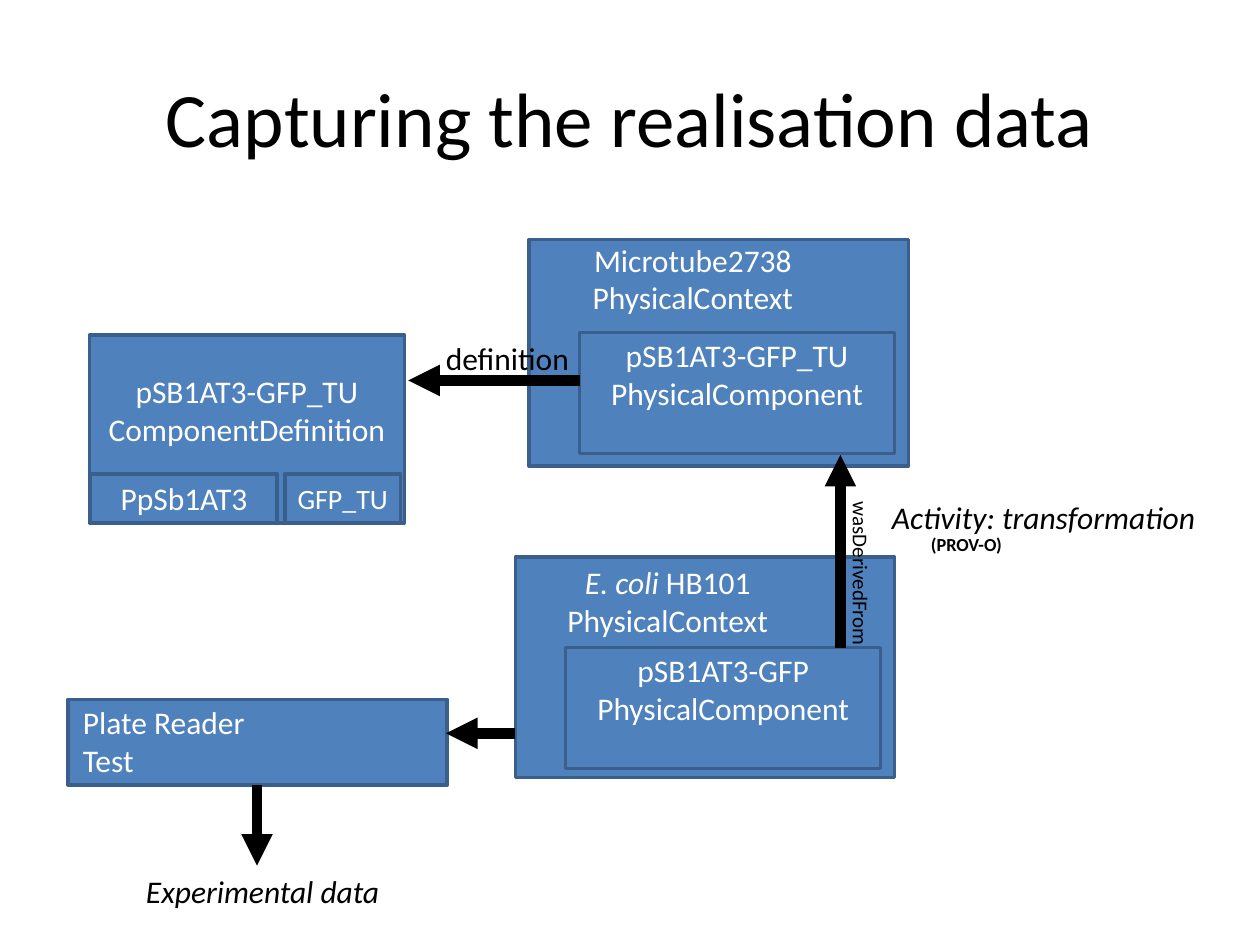
from lxml.etree import SubElement
from pptx import Presentation
from pptx.dml.color import RGBColor
from pptx.enum.shapes import MSO_CONNECTOR, MSO_SHAPE
from pptx.enum.text import MSO_ANCHOR, MSO_AUTO_SIZE, PP_ALIGN
from pptx.oxml.ns import qn
from pptx.util import Inches, Pt

THEME = {
    "font": "Calibri",
    "box": RGBColor.from_string("4F81BD"),
    "edge": RGBColor.from_string("3A5F8C"),
    "light": RGBColor.from_string("FFFFFF"),
    "dark": RGBColor.from_string("000000"),
    "title": 44, "body": 18, "part": 16, "relation": 12, "note": 10.5,
    "edge_width": 2, "arrow_width": 6,
}
CENTER, LEFT = PP_ALIGN.CENTER, PP_ALIGN.LEFT

presentation = Presentation()
presentation.slide_width, presentation.slide_height = Inches(10), Inches(7.5)
slide = presentation.slides.add_slide(presentation.slide_layouts[5])
shapes = slide.shapes

# The slide is a grid of 100 columns by 75 rows of square cells
CELL = presentation.slide_width / 100


def on_grid(*cells):
    return [round(cell * CELL) for cell in cells]


def write(frame, lines, size, color, align):
    """Each line is a list of (text, style) runs; style is '', 'i' or 'b'."""
    for number, line in enumerate(lines):
        paragraph = frame.paragraphs[0] if number == 0 else frame.add_paragraph()
        paragraph.alignment = align
        for text, style in line:
            run = paragraph.add_run()
            run.text = text
            run.font.name = THEME["font"]
            run.font.size = Pt(THEME[size])
            run.font.color.rgb = THEME[color]
            run.font.italic = style == "i"
            run.font.bold = style == "b"


# Title
title = shapes.title
title.left, title.top, title.width, title.height = on_grid(5, 3, 90, 12.5)
title.text_frame.vertical_anchor = MSO_ANCHOR.MIDDLE
write(title.text_frame, [[("Capturing the realisation data", "")]],
      "title", "dark", CENTER)

# Boxes: position, lines, type size, space kept free below the text
boxes = [
    ((42, 19, 30.1, 18), [], "body", 0),
    ((7.1, 26.6, 25, 14.9), ["pSB1AT3-GFP_TU", "ComponentDefinition"], "body", 3),
    ((7.2, 37.6, 14.8, 3.9), ["PpSb1AT3"], "body", 0),
    ((22.6, 37.6, 9.2, 3.9), ["GFP_TU"], "part", 0),
    ((46, 26.4, 25, 9.6), ["pSB1AT3-GFP_TU", "PhysicalComponent"], "body", 3),
    ((40.9, 44.2, 30.1, 17.5), [], "body", 0),
    ((44.9, 51.4, 25, 9.6), ["pSB1AT3-GFP", "PhysicalComponent"], "body", 3),
    ((5.4, 55.5, 30.1, 6.8), [], "body", 0),
]
for place, lines, size, space_below in boxes:
    box = shapes.add_shape(MSO_SHAPE.RECTANGLE, *on_grid(*place))
    box.shadow.inherit = False
    box.fill.solid()
    box.fill.fore_color.rgb = THEME["box"]
    box.line.color.rgb = THEME["edge"]
    box.line.width = Pt(THEME["edge_width"])
    frame = box.text_frame
    frame.word_wrap = True
    frame.vertical_anchor = MSO_ANCHOR.MIDDLE
    frame.margin_top, frame.margin_bottom = on_grid(0, space_below)
    write(frame, [[(line, "")] for line in lines], size, "light", CENTER)

# Arrows: start and end
arrows = [
    (46, 30.2, 32.4, 30.2),      # component to its definition
    (66.7, 51.4, 66.7, 36.1),    # derived component to its source
    (40.9, 58.2, 35.4, 58.2),    # culture to plate reader
    (20.4, 62.3, 20.4, 68.7),    # plate reader to data
]
for ends in arrows:
    arrow = shapes.add_connector(MSO_CONNECTOR.STRAIGHT, *on_grid(*ends))
    arrow.line.color.rgb = THEME["dark"]
    arrow.line.width = Pt(THEME["arrow_width"])
    SubElement(arrow.line._get_or_add_ln(), qn("a:tailEnd"), type="triangle")
    SubElement(arrow._element.spPr, qn("a:effectLst"))

# Labels: position, lines of runs, type size, colour, alignment, wrap, rotation
labels = [
    ((30, 18.6, 50, 7.1), [[("Microtube2738", "")], [("PhysicalContext", "")]],
     "body", "light", CENTER, True, 0),
    ((34.4, 26.4, 11.9, 4), [[("definition", "")]],
     "body", "dark", LEFT, False, 0),
    ((28, 44.2, 50, 7.1),
     [[("E. coli ", "i"), ("HB101", "")], [("PhysicalContext", "")]],
     "body", "light", CENTER, True, 0),
    ((5.6, 55.3, 33.3, 7.1), [[("Plate Reader", "")], [("Test", "")]],
     "body", "light", LEFT, True, 0),
    ((10.6, 68.7, 33.3, 4), [[("Experimental data", "i")]],
     "body", "dark", LEFT, True, 0),
    ((61.6, 44.1, 13.5, 3), [[("wasDerivedFrom", "")]],
     "relation", "dark", LEFT, False, 90),
    ((69.8, 39, 26.4, 4), [[("Activity: transformation", "i")]],
     "body", "dark", LEFT, False, 0),
    ((72.9, 41.8, 10, 2.8), [[("(PROV-O)", "b")]],
     "note", "dark", LEFT, True, 0),
]
for place, lines, size, color, align, wrap, rotation in labels:
    label = shapes.add_textbox(*on_grid(*place))
    label.rotation = rotation
    label.text_frame.word_wrap = wrap
    label.text_frame.auto_size = MSO_AUTO_SIZE.SHAPE_TO_FIT_TEXT
    write(label.text_frame, lines, size, color, align)

presentation.save("out.pptx")
